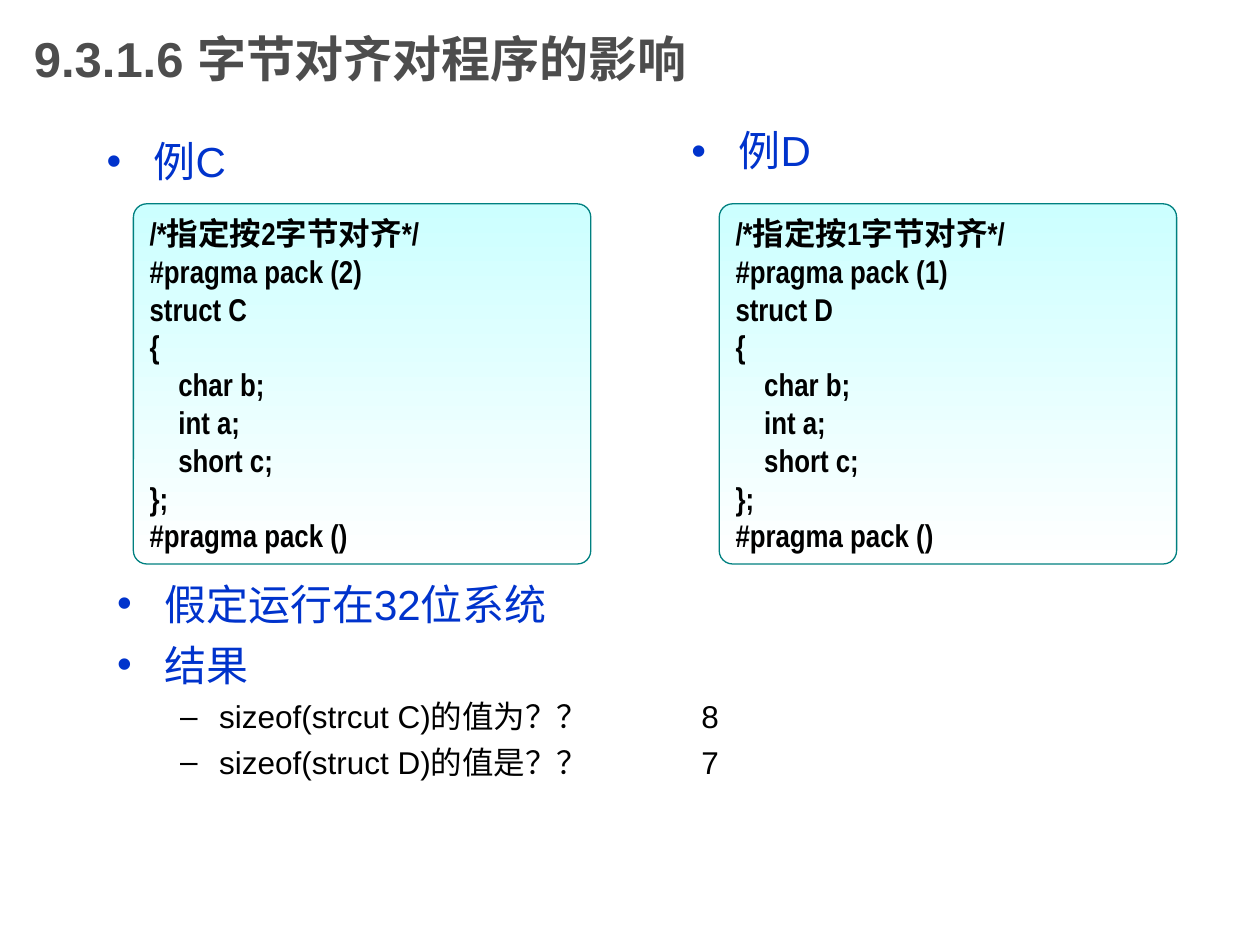
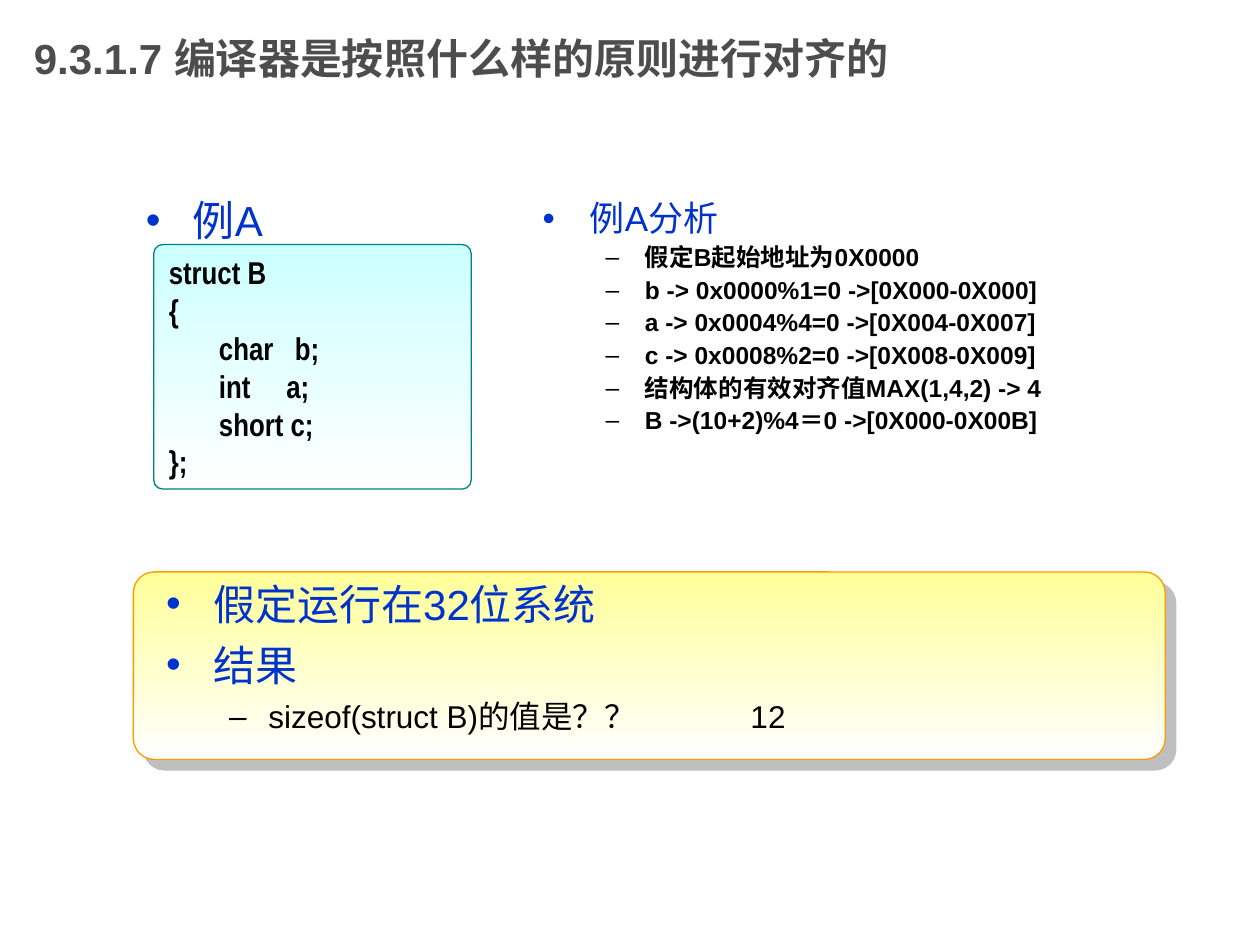
"""Build two slides on how byte alignment changes the size of C structs."""
from dataclasses import dataclass

from lxml import etree
from pptx import Presentation
from pptx.dml.color import RGBColor
from pptx.enum.shapes import MSO_SHAPE
from pptx.enum.text import MSO_ANCHOR, MSO_AUTO_SIZE, PP_ALIGN
from pptx.oxml.ns import qn
from pptx.util import Cm, Pt

ROUND = MSO_SHAPE.ROUNDED_RECTANGLE
LEFT = PP_ALIGN.LEFT
TOP, MIDDLE = MSO_ANCHOR.TOP, MSO_ANCHOR.MIDDLE
FIXED, GROW = MSO_AUTO_SIZE.NONE, MSO_AUTO_SIZE.SHAPE_TO_FIT_TEXT

BLACK = RGBColor(0x00, 0x00, 0x00)
WHITE = RGBColor(0xFF, 0xFF, 0xFF)
GRAY = RGBColor(0x4D, 0x4D, 0x4D)
SHADE = RGBColor(0x80, 0x80, 0x80)
BLUE = RGBColor(0x00, 0x33, 0xCC)
CYAN = RGBColor(0xCC, 0xFF, 0xFF)
TEAL = RGBColor(0x00, 0x80, 0x80)
YELLOW = RGBColor(0xFF, 0xFF, 0x99)
ORANGE = RGBColor(0xFF, 0x99, 0x00)

TITLE_ONLY = 5
ANSWER_TAB = Cm(11.78)


@dataclass(frozen=True)
class Box:
    """Place and size in centimetres."""
    left: float
    top: float
    width: float
    height: float

    def cm(self) -> tuple[Cm, Cm, Cm, Cm]:
        """Return the four lengths."""
        return Cm(self.left), Cm(self.top), Cm(self.width), Cm(self.height)


@dataclass(frozen=True)
class Style:
    """Look of a paragraph."""
    size: float
    color: RGBColor
    bold: bool = False
    face: str = "Arial"
    mark: str = ""
    margin: float = 0
    hang: float = 0
    before: float = 0
    lines: float = 1.0


@dataclass(frozen=True)
class Paint:
    """Look of a rounded panel."""
    fill: RGBColor
    line: RGBColor
    corner: float


@dataclass(frozen=True)
class Item:
    """A line of text and its style."""
    text: str
    style: Style


def dot(size: float, lines: float = 1.0) -> Style:
    """Return the style of a first-level bullet."""
    return Style(size, BLUE, mark="•", margin=0.95, hang=0.95,
                 before=size / 4, lines=lines)


def dash(size: float, lines: float = 1.0, bold: bool = False) -> Style:
    """Return the style of a second-level bullet."""
    return Style(size, BLACK, bold, mark="–", margin=2.06, hang=0.79,
                 before=size / 4, lines=lines)


CODE = Style(18, BLACK, True, "Arial Narrow")
HEAD = dot(24, 0.9)
POINT = dot(24)
RESULT = dash(18)
NOTE = dash(14, 0.9, True)
CODE_PAINT = Paint(CYAN, TEAL, 0.037)
RESULT_PAINT = Paint(YELLOW, ORANGE, 0.111)
TITLE_BOX = Box(0.43, 0, 19.05, 2.34)
SETUP = [Item("假定运行在32位系统", POINT), Item("结果", POINT)]


def assign(target, values: dict) -> None:
    """Set each named attribute of the target."""
    for name, value in values.items():
        setattr(target, name, value)


def add_mark(para, style: Style) -> None:
    """Give a paragraph its bullet, hanging indent and answer tab."""
    props = para._p.get_or_add_pPr()
    props.set("marL", str(Cm(style.margin)))
    props.set("indent", str(-Cm(style.hang)))
    tint = etree.SubElement(props, qn("a:buClr"))
    etree.SubElement(tint, qn("a:srgbClr"), val=str(style.color))
    etree.SubElement(props, qn("a:buFont"), typeface="Arial")
    etree.SubElement(props, qn("a:buChar"), char=style.mark)
    tabs = etree.SubElement(props, qn("a:tabLst"))
    etree.SubElement(tabs, qn("a:tab"), pos=str(ANSWER_TAB), algn="l")


def write(frame, items: list[Item], anchor=TOP, fit=FIXED) -> None:
    """Fill a text frame with styled lines."""
    assign(frame, {"word_wrap": True, "auto_size": fit, "vertical_anchor": anchor})
    for index, item in enumerate(items):
        style = item.style
        para = frame.add_paragraph() if index else frame.paragraphs[0]
        if style.mark:
            add_mark(para, style)
        assign(para, {"alignment": LEFT, "line_spacing": style.lines,
                      "space_before": Pt(style.before if index else 0)})
        run = para.add_run()
        run.text = item.text
        assign(run.font, {"size": Pt(style.size), "bold": style.bold, "name": style.face})
        run.font.color.rgb = style.color


def add_title(deck, text: str, size: float):
    """Add a slide with its title and return it."""
    slide = deck.slides.add_slide(deck.slide_layouts[TITLE_ONLY])
    title = slide.shapes.title
    assign(title, dict(zip(("left", "top", "width", "height"), TITLE_BOX.cm())))
    write(title.text_frame, [Item(text, Style(size, GRAY, True))], MIDDLE)
    return slide


def add_text(slide, box: Box, items: list[Item]) -> None:
    """Add a text box."""
    write(slide.shapes.add_textbox(*box.cm()).text_frame, items)


def add_panel(slide, box: Box, paint: Paint):
    """Add a rounded panel that fades down to white."""
    panel = slide.shapes.add_shape(ROUND, *box.cm())
    panel.shadow.inherit = False
    panel.adjustments[0] = paint.corner
    panel.fill.gradient()
    panel.fill.gradient_angle = 270
    for stop, color in zip(panel.fill.gradient_stops, (paint.fill, WHITE)):
        stop.color.rgb = color
    panel.line.color.rgb = paint.line
    panel.line.width = Pt(0.75)
    return panel


def add_code(slide, box: Box, code: str) -> None:
    """Add a panel of code."""
    panel = add_panel(slide, box, CODE_PAINT)
    write(panel.text_frame, [Item(line, CODE) for line in code.splitlines()], fit=GROW)


def add_shadow(panel) -> None:
    """Cast a hard half-clear shadow to the lower right."""
    effects = panel._element.spPr.find(qn("a:effectLst"))
    shadow = etree.SubElement(effects, qn("a:outerShdw"), dist=str(Pt(8.5)),
                              dir="2700000", algn="ctr", rotWithShape="0")
    color = etree.SubElement(shadow, qn("a:srgbClr"), val=str(SHADE))
    etree.SubElement(color, qn("a:alpha"), val="50000")


def pack_code(name: str, size: int) -> str:
    """Return a struct packed to the given size."""
    return f"""/*指定按{size}字节对齐*/
#pragma pack ({size})
struct {name}
{{
    char b;
    int a;
    short c;
}};
#pragma pack ()"""


PLAIN_CODE = """struct B
{
       char   b;
       int     a;
       short c;
};"""

STEPS = (
    "假定B起始地址为0X0000",
    "b -> 0x0000%1=0 ->[0X000-0X000]",
    "a -> 0x0004%4=0 ->[0X004-0X007]",
    "c -> 0x0008%2=0 ->[0X008-0X009]",
    "结构体的有效对齐值MAX(1,4,2) -> 4",
    "B ->(10+2)%4＝0 ->[0X000-0X00B]",
)


def build_pack(deck) -> None:
    """Build the slide on packed structs."""
    slide = add_title(deck, "9.3.1.6 字节对齐对程序的影响", 28)
    add_text(slide, Box(1.9, 2.72, 9.6, 1.19), [Item("例C", HEAD)])
    add_text(slide, Box(13.69, 2.51, 8.79, 1.19), [Item("例D", HEAD)])
    add_text(slide, Box(2.11, 11.53, 20.19, 5.51), SETUP + [
        Item("sizeof(strcut C)的值为？？\t8", RESULT),
        Item("sizeof(struct D)的值是？？\t7", RESULT)])
    for left, name, size in ((2.69, "C", 2), (14.5, "D", 1)):
        add_code(slide, Box(left, 4.11, 9.22, 7.26), pack_code(name, size))


def build_rule(deck) -> None:
    """Build the slide on the rules of alignment."""
    slide = add_title(deck, "9.3.1.7 编译器是按照什么样的原则进行对齐的", 24)
    add_shadow(add_panel(slide, Box(2.69, 11.53, 20.8, 3.78), RESULT_PAINT))
    add_text(slide, Box(2.69, 3.91, 8.79, 1.19), [Item("例A", HEAD)])
    add_text(slide, Box(10.69, 3.94, 13.21, 6.2),
             [Item("例A分析", dot(20, 0.9))] + [Item(step, NOTE) for step in STEPS])
    add_text(slide, Box(3.1, 11.53, 15.6, 3.78),
             SETUP + [Item("sizeof(struct B)的值是？？\t12", RESULT)])
    add_code(slide, Box(3.1, 4.93, 6.4, 4.93), PLAIN_CODE)


def main() -> None:
    """Build and save the deck."""
    deck = Presentation()
    assign(deck, {"slide_width": Cm(25.4), "slide_height": Cm(19.05)})
    build_pack(deck)
    build_rule(deck)
    deck.save("out.pptx")


if __name__ == "__main__":
    main()
